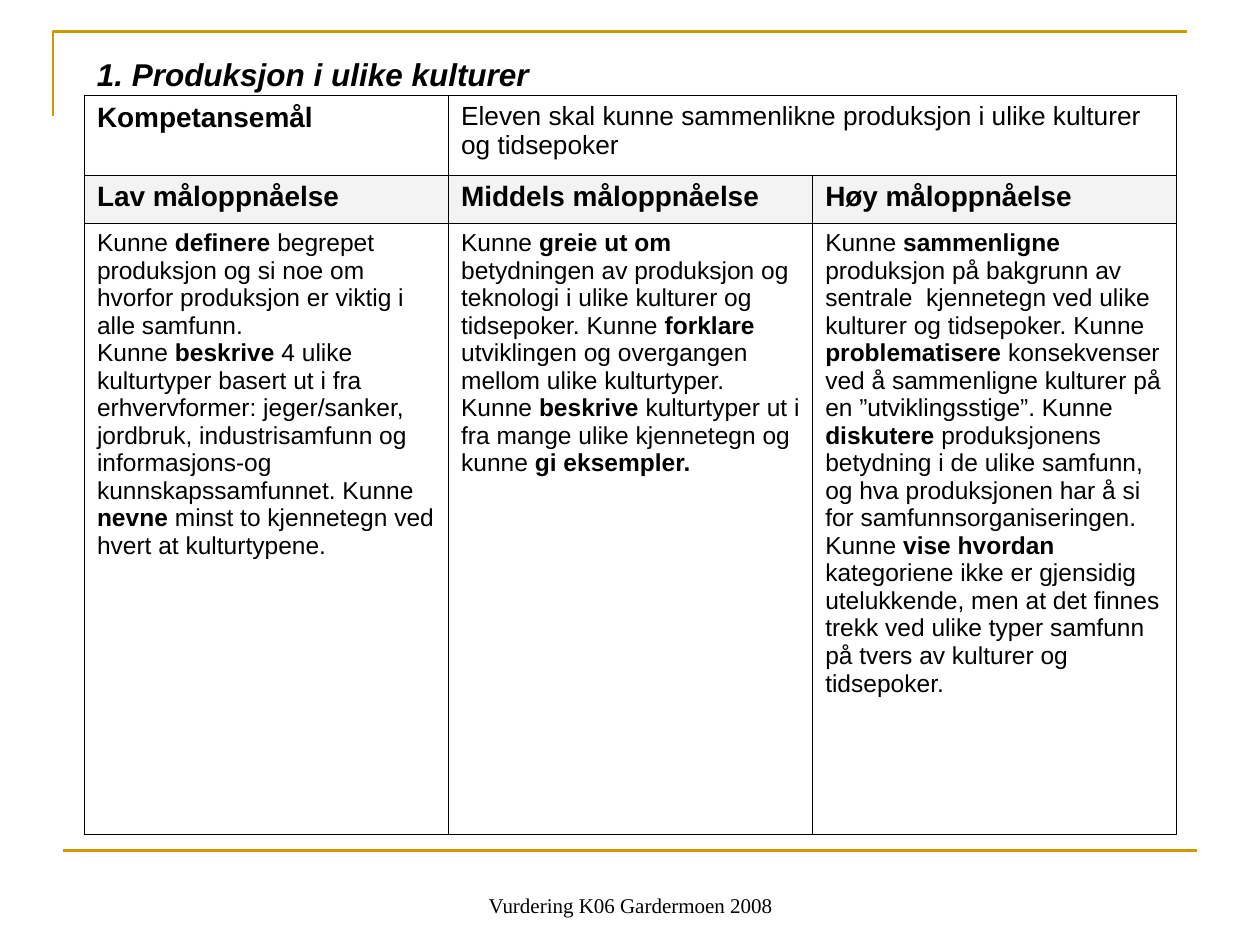
"""Build the slide with the assessment table on production in different cultures."""
from lxml import etree
from pptx import Presentation
from pptx import util as u
from pptx.dml.color import RGBColor
from pptx.enum import shapes, text
from pptx.oxml.ns import qn

COLORS = {"gold": "CC9900", "black": "000000", "header": "F3F3F3"}
TITLE = "1. Produksjon i ulike kulturer"
FOOTER = "Vurdering K06 Gardermoen 2008"
GOAL = ("Kompetansemål", "Eleven skal kunne sammenlikne produksjon i ulike kulturer og tidsepoker")
LEVELS = ("Lav måloppnåelse", "Middels måloppnåelse", "Høy måloppnåelse")
CRITERIA = (
    "Kunne **definere** begrepet produksjon og si noe om hvorfor produksjon er viktig i alle samfunn.\n"
    "Kunne **beskrive** 4 ulike kulturtyper basert ut i fra erhvervformer: jeger/sanker, jordbruk, "
    "industrisamfunn og informasjons-og kunnskapssamfunnet. Kunne **nevne** minst to kjennetegn ved "
    "hvert at kulturtypene.",
    "Kunne **greie ut om** betydningen av produksjon og teknologi i ulike kulturer og tidsepoker. "
    "Kunne **forklare** utviklingen og overgangen mellom ulike kulturtyper. Kunne **beskrive** "
    "kulturtyper ut i fra mange ulike kjennetegn og kunne **gi eksempler.**",
    "Kunne **sammenligne** produksjon på bakgrunn av sentrale  kjennetegn ved ulike kulturer og "
    "tidsepoker. Kunne **problematisere** konsekvenser ved å sammenligne kulturer på en "
    "”utviklingsstige”. Kunne **diskutere** produksjonens betydning i de ulike samfunn, og hva "
    "produksjonen har å si for samfunnsorganiseringen. Kunne **vise hvordan** kategoriene ikke er "
    "gjensidig utelukkende, men at det finnes trekk ved ulike typer samfunn på tvers av kulturer "
    "og tidsepoker.",
)
ROW_HEIGHTS = (0.63, 0.38, 4.85)
TABLE_LEFT, TABLE_TOP, COL_WIDTH = 0.67, 0.76, 2.89


def rgb(name):
    return RGBColor.from_string(COLORS[name])


def write(tf, content, size, font="Arial", bold=False, italic=False, align=None):
    for i, line in enumerate(content.split("\n")):
        p = tf.paragraphs[0] if i == 0 else tf.add_paragraph()
        if align is not None:
            p.alignment = align
        for j, part in enumerate(line.split("**")):
            if part:
                r = p.add_run()
                r.text = part
                r.font.name, r.font.size = font, u.Pt(size)
                r.font.bold, r.font.italic = bold or j % 2 == 1, italic
                r.font.color.rgb = rgb("black")


def add_text(s, box, content, anchor, wrap, **fmt):
    tf = s.shapes.add_textbox(*map(u.Inches, box)).text_frame
    tf.word_wrap, tf.vertical_anchor = wrap, anchor
    write(tf, content, **fmt)


def gold_line(sp):
    sp.line.color.rgb, sp.line.width = rgb("gold"), u.Pt(1.5)


def add_frame(s):
    fb = s.shapes.build_freeform(u.Inches(0.42), u.Inches(0.92))
    fb.add_line_segments([(u.Inches(0.42), u.Inches(0.25)), (u.Inches(9.42), u.Inches(0.25))], close=False)
    corner = fb.convert_to_shape()
    corner.fill.background()
    corner.shadow.inherit = False
    gold_line(corner)
    rule = s.shapes.add_connector(shapes.MSO_CONNECTOR.STRAIGHT, *map(u.Inches, (0.5, 6.75, 9.5, 6.75)))
    gold_line(rule)
    etree.SubElement(rule._element.spPr, qn("a:effectLst"))


def style_cell(cell, fill=None):
    pr = cell._tc.get_or_add_tcPr()
    for side in ("lnL", "lnR", "lnT", "lnB"):
        ln = etree.SubElement(pr, qn("a:" + side), w=str(u.Pt(0.45)))
        solid = etree.SubElement(ln, qn("a:solidFill"))
        etree.SubElement(solid, qn("a:srgbClr"), val=COLORS["black"])
    if fill:
        cell.fill.solid()
        cell.fill.fore_color.rgb = rgb(fill)
    else:
        cell.fill.background()


def add_criteria_table(s):
    frame = s.shapes.add_table(3, 3, *map(u.Inches, (TABLE_LEFT, TABLE_TOP, 3 * COL_WIDTH, sum(ROW_HEIGHTS))))
    table = frame.table
    table.first_row = table.horz_banding = False
    for col in table.columns:
        col.width = u.Inches(COL_WIDTH)
    for row, height in zip(table.rows, ROW_HEIGHTS):
        row.height = u.Inches(height)
    for i, row in enumerate(table.rows):
        for cell in row.cells:
            style_cell(cell, "header" if i == 1 else None)
    table.cell(0, 1).merge(table.cell(0, 2))
    write(table.cell(0, 0).text_frame, GOAL[0], 16, bold=True)
    write(table.cell(0, 1).text_frame, GOAL[1], 15)
    for c, (level, criterion) in enumerate(zip(LEVELS, CRITERIA)):
        write(table.cell(1, c).text_frame, level, 16, bold=True)
        write(table.cell(2, c).text_frame, criterion, 14)


def main():
    prs = Presentation()
    prs.slide_width, prs.slide_height = u.Inches(10), u.Inches(7.5)
    s = prs.slides.add_slide(prs.slide_layouts[6])
    add_frame(s)
    add_criteria_table(s)
    add_text(s, (0.67, 0.39, 3.65, 0.39), TITLE, text.MSO_ANCHOR.TOP, False, size=18, bold=True, italic=True)
    add_text(s, (3.42, 6.83, 3.17, 0.5), FOOTER, text.MSO_ANCHOR.BOTTOM, True,
             size=12, font="Times New Roman", align=text.PP_ALIGN.CENTER)
    prs.save("out.pptx")


if __name__ == "__main__":
    main()
